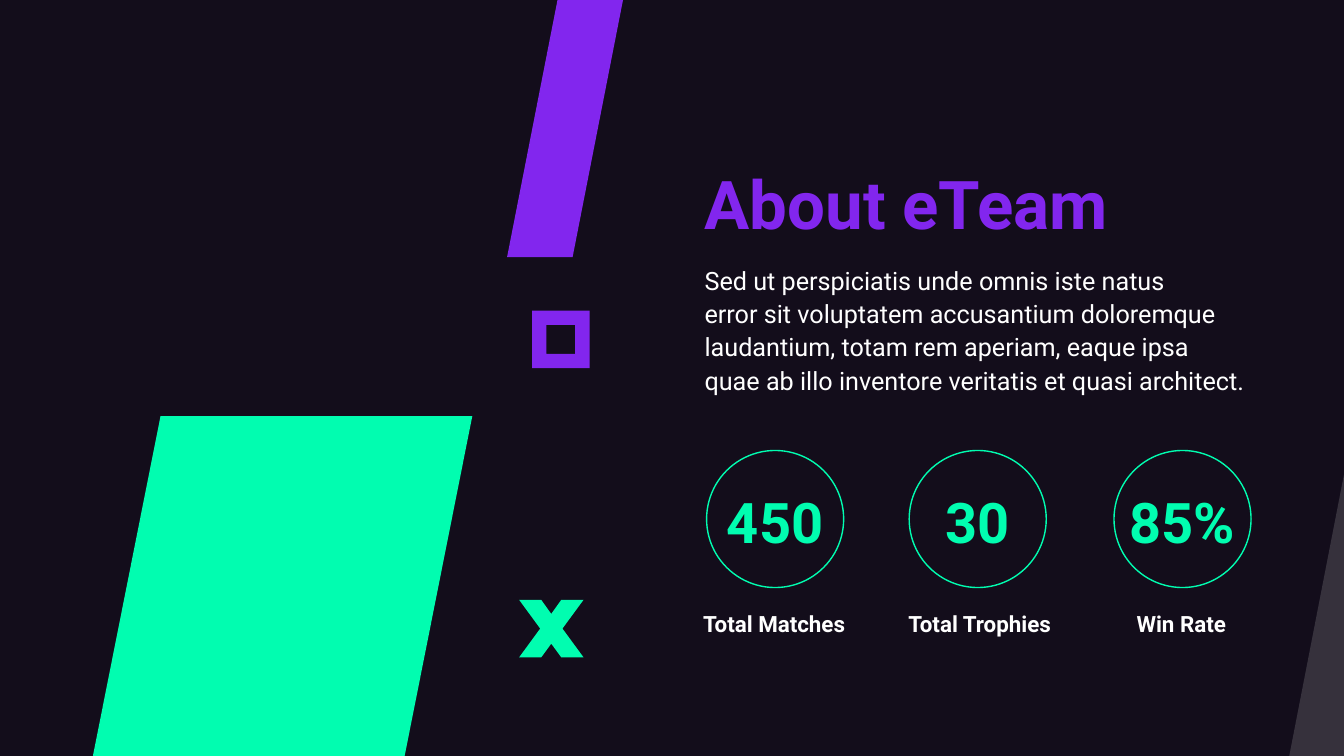
from dataclasses import dataclass

from lxml.etree import SubElement
from pptx import Presentation
from pptx.dml.color import RGBColor
from pptx.enum.shapes import MSO_SHAPE as SHAPE
from pptx.enum.text import MSO_ANCHOR as ANCHOR, MSO_AUTO_SIZE as AUTO, PP_ALIGN as ALIGN
from pptx.oxml.ns import qn
from pptx.util import Pt

FONT = "Roboto"
DARK, PURPLE, GREEN, WHITE = "130D1B", "8226EE", "01FDB0", "FFFFFF"
CIRCLE_SIZE, STAT_WIDTH = 97.9, 130


@dataclass(frozen=True)
class Outline:
    points: tuple[tuple[float, float], ...]
    color: str
    alpha: int = 100


@dataclass(frozen=True)
class Preset:
    kind: SHAPE
    box: tuple[float, float, float, float]
    color: str
    adjustment: float


@dataclass(frozen=True)
class Stat:
    value: str
    label: str
    center: float
    label_center: float


OUTLINES = (
    Outline(((398.2, 0), (445, 0), (409, 183.6), (362.2, 183.6)), PURPLE),
    Outline(((370.8, 428.4), (386.6, 428.4), (393.8, 438.5), (401, 428.4),
             (416.9, 428.4), (401.8, 449), (416.9, 469.6), (401, 469.6),
             (393.8, 459.8), (386.6, 469.6), (370.8, 469.6), (385.9, 449)), GREEN),
    Outline(((960, 339), (960, 540), (920.9, 540)), WHITE, 15),
)
PRESETS = (
    Preset(SHAPE.PARALLELOGRAM, (66.4, 297.2, 271, 242.8), GREEN, 0.199),
    Preset(SHAPE.FRAME, (380, 221.8, 41.2, 41.2), PURPLE, 0.25),
)
STATS = (
    Stat("450", "Total Matches", 553.7, 553),
    Stat("30", "Total Trophies", 698.4, 699.8),
    Stat("85%", "Win Rate", 844.7, 843.8),
)
BODY = (
    "Sed ut perspiciatis unde omnis iste natus",
    "error sit voluptatem accusantium doloremque laudantium, totam rem aperiam, "
    "eaque ipsa quae ab illo inventore veritatis et quasi architect.",
)


def rgb(color: str) -> RGBColor:
    return RGBColor.from_string(color)


def paint(sp, color: str, alpha: int = 100) -> None:
    sp.shadow.inherit = False
    sp.line.fill.background()
    sp.fill.solid()
    sp.fill.fore_color.rgb = rgb(color)
    if alpha < 100:
        clr = sp._element.spPr.find(qn("a:solidFill"))[0]
        SubElement(clr, qn("a:alpha")).set("val", str(alpha * 1000))


def draw_outline(slide, outline: Outline) -> None:
    start, *rest = [(Pt(x), Pt(y)) for x, y in outline.points]
    builder = slide.shapes.build_freeform(*start)
    builder.add_line_segments(rest, close=True)
    paint(builder.convert_to_shape(), outline.color, outline.alpha)


def draw_preset(slide, preset: Preset) -> None:
    sp = slide.shapes.add_shape(preset.kind, *map(Pt, preset.box))
    sp.adjustments[0] = preset.adjustment
    paint(sp, preset.color)


def write(sp, lines: tuple[str, ...], size: float, color: str, bold: bool = False,
          align: ALIGN = ALIGN.LEFT, anchor: ANCHOR = ANCHOR.TOP,
          spacing: float = 1.1) -> None:
    tf = sp.text_frame
    tf.word_wrap = True
    tf.auto_size = AUTO.NONE
    tf.vertical_anchor = anchor
    tf.margin_left = tf.margin_top = tf.margin_right = tf.margin_bottom = 0
    tf.text = "\n".join(lines)
    for p in tf.paragraphs:
        p.alignment = align
        p.line_spacing = spacing
        p.font.name = FONT
        p.font.size = Pt(size)
        p.font.bold = bold
        p.font.color.rgb = rgb(color)


def add_text(slide, box: tuple[float, float, float, float], lines: tuple[str, ...],
             size: float, color: str, **style) -> None:
    write(slide.shapes.add_textbox(*map(Pt, box)), lines, size, color, **style)


def draw_stat(slide, stat: Stat) -> None:
    circle = slide.shapes.add_shape(
        SHAPE.OVAL, Pt(stat.center - CIRCLE_SIZE / 2), Pt(321.8),
        Pt(CIRCLE_SIZE), Pt(CIRCLE_SIZE))
    circle.shadow.inherit = False
    circle.fill.background()
    circle.line.color.rgb = rgb(GREEN)
    circle.line.width = Pt(1)
    add_text(slide, (stat.center - STAT_WIDTH / 2, 337, STAT_WIDTH, 59), (stat.value,),
             40, GREEN, bold=True, align=ALIGN.CENTER, anchor=ANCHOR.BOTTOM)
    add_text(slide, (stat.label_center - STAT_WIDTH / 2, 434.2, STAT_WIDTH, 87.8),
             (stat.label,), 16, WHITE, bold=True, align=ALIGN.CENTER)


def main() -> None:
    prs = Presentation()
    prs.slide_width, prs.slide_height = Pt(960), Pt(540)
    slide = prs.slides.add_slide(prs.slide_layouts[5])
    slide.background.fill.solid()
    slide.background.fill.fore_color.rgb = rgb(DARK)

    for outline in OUTLINES:
        draw_outline(slide, outline)
    for preset in PRESETS:
        draw_preset(slide, preset)

    title = slide.shapes.title
    title.left, title.top, title.width, title.height = map(Pt, (503.3, 41, 386.7, 133.2))
    write(title, ("About eTeam",), 48, PURPLE, bold=True, anchor=ANCHOR.BOTTOM, spacing=0.9)
    add_text(slide, (503.3, 187.2, 386.7, 135.4), BODY, 18, WHITE)

    for stat in STATS:
        draw_stat(slide, stat)
    prs.save("out.pptx")


if __name__ == "__main__":
    main()
